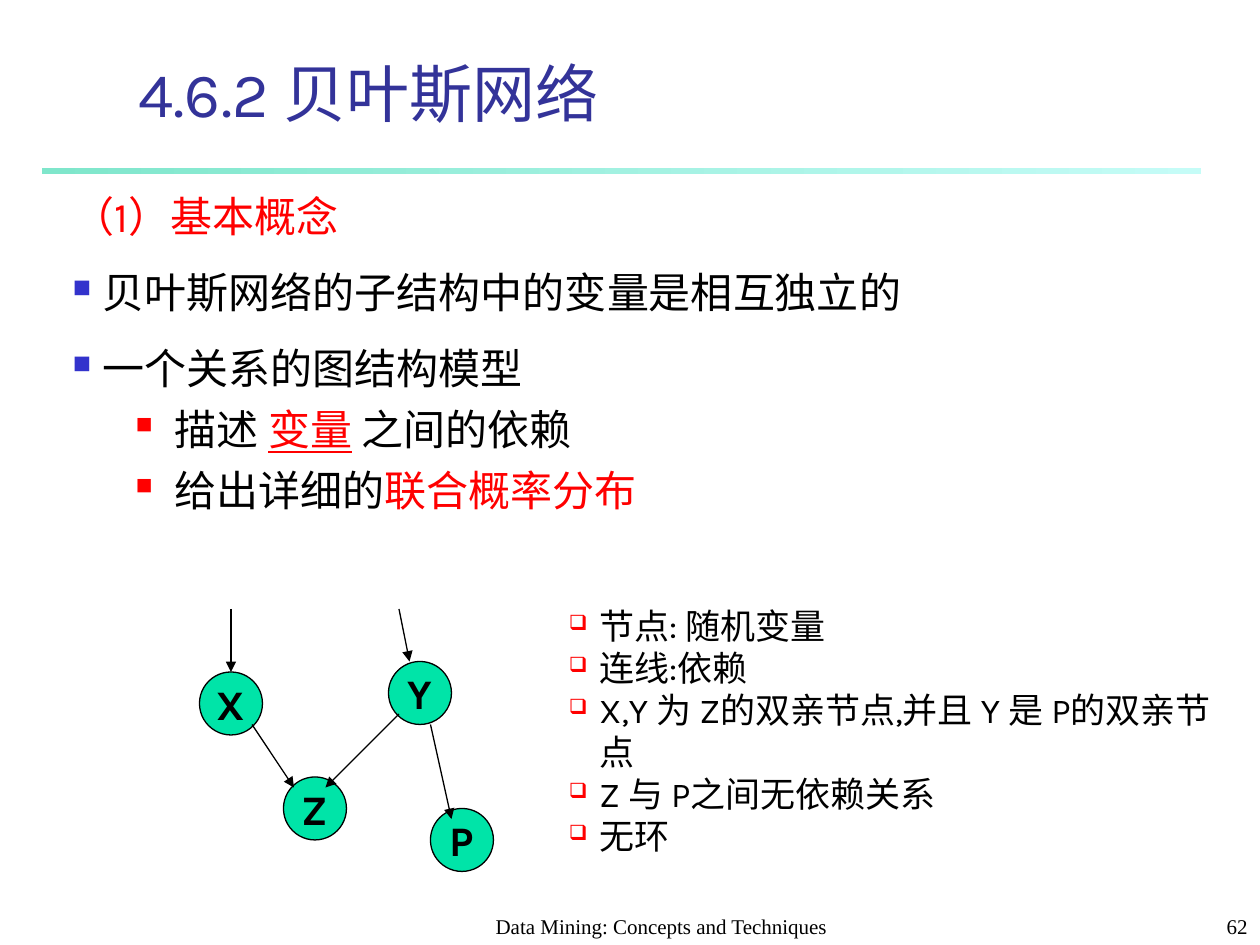
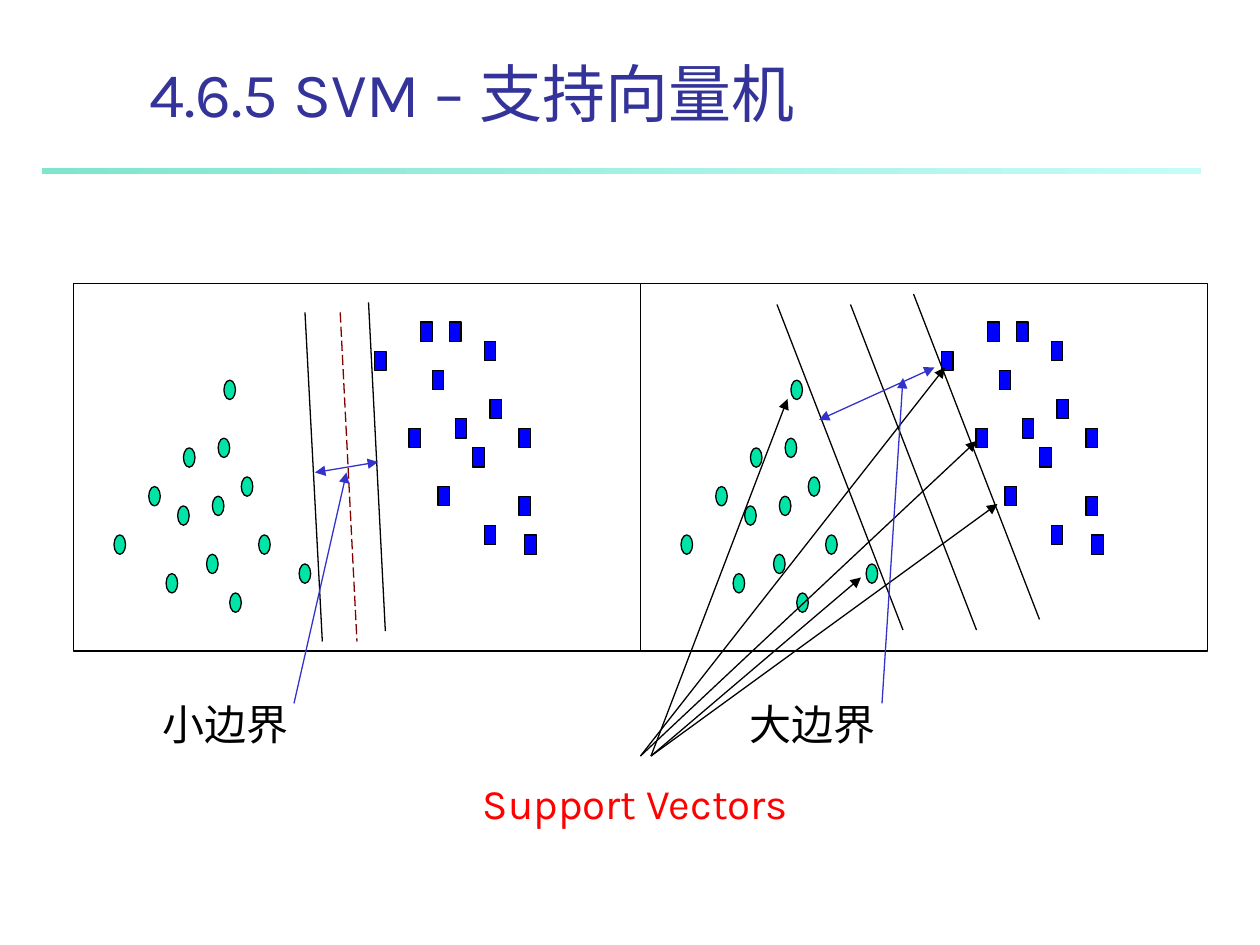
from pptx import Presentation
from pptx.dml.color import RGBColor as Rgb
from pptx.enum.dml import MSO_LINE as Dash
from pptx.enum.shapes import MSO_CONNECTOR as Conn, MSO_SHAPE as Kind
from pptx.enum.text import MSO_ANCHOR as Anchor, MSO_AUTO_SIZE as Fit, PP_ALIGN as Align
from pptx.oxml.ns import qn
from pptx.util import Inches, Pt
from lxml.etree import SubElement as Sub

# Grid: 120 columns by 90 rows on a 10 by 7.5 inch slide
COLS, ROWS = 120, 90
WIDE, HIGH = Inches(10), Inches(7.5)

# Colours
BLACK, RED, NAVY, BLUE = "000000", "FF0000", "333399", "3333CC"
GREEN, SQUARE, MAROON = "00E4A8", "0000FF", "800000"
BAND = ("7FE6CB", "C5FCF7")

# Bullet styles: mark, colour, size in percent, left margin, hang
MAIN = ("■", BLUE, 60, 0.24, 0.24)
MINOR = ("■", RED, 55, 0.81, 0.31)
BOX = ("❑", RED, 60, 0.24, 0.24)


def paint(text):
    return Rgb.from_string(text)


class Deck:
    font = "Karla"

    def __init__(self):
        self.prs = Presentation()
        self.prs.slide_width, self.prs.slide_height = WIDE, HIGH
        self.slide = None

    def x(self, col):
        return round(WIDE * col / COLS)

    def y(self, row):
        return round(HIGH * row / ROWS)

    def place(self, box):
        col, row, wide, high = box
        return self.x(col), self.y(row), self.x(wide), self.y(high)

    def style(self, run, size, color, bold=False, font=None):
        run.font.name = font or self.font
        run.font.size = Pt(size)
        run.font.bold = bold
        run.font.color.rgb = paint(color)

    def page(self, title, box):
        """Start a slide with its band and title."""
        self.slide = self.prs.slides.add_slide(self.prs.slide_layouts[5])
        band = self.shape(Kind.RECTANGLE, (4, 16, 110.4, 0.6))
        band.line.fill.background()
        band.fill.gradient()
        band.fill.gradient_angle = 0
        for stop, color, spot in zip(band.fill.gradient_stops, BAND, (0, 1)):
            stop.color.rgb, stop.position = paint(color), spot
        head = self.slide.shapes.title
        head.left, head.top, head.width, head.height = self.place(box)
        frame = head.text_frame
        frame.text = title
        frame.auto_size = Fit.NONE
        frame.vertical_anchor = Anchor.BOTTOM
        frame.paragraphs[0].alignment = Align.LEFT
        self.style(frame.paragraphs[0].runs[0], 36, NAVY)

    def shape(self, kind, box, fill=None):
        item = self.slide.shapes.add_shape(kind, *self.place(box))
        item.shadow.inherit = False
        if fill:
            item.fill.solid()
            item.fill.fore_color.rgb = paint(fill)
        else:
            item.fill.background()
        item.line.color.rgb = paint(BLACK)
        item.line.width = Pt(0.75)
        return item

    def node(self, name, col, row):
        item = self.shape(Kind.FLOWCHART_CONNECTOR, (col, row, 6, 6), GREEN)
        frame = item.text_frame
        frame.text = name
        frame.word_wrap = False
        frame.vertical_anchor = Anchor.MIDDLE
        frame.paragraphs[0].alignment = Align.CENTER
        self.style(frame.paragraphs[0].runs[0], 24, BLACK, bold=True)

    def line(self, ends, color=BLACK, heads=(), dash=None):
        a, b, c, d = ends
        item = self.slide.shapes.add_connector(
            Conn.STRAIGHT, self.x(a), self.y(b), self.x(c), self.y(d))
        item.line.color.rgb = paint(color)
        item.line.width = Pt(0.75)
        if dash:
            item.line.dash_style = dash
        props = item.element.spPr
        for head in heads:
            Sub(props.find(qn("a:ln")), qn(f"a:{head}"), type="triangle")
        Sub(props, qn("a:effectLst"))

    def arrow(self, ends, color=BLACK):
        self.line(ends, color, ["tailEnd"])

    def span(self, ends, color):
        self.line(ends, color, ["headEnd", "tailEnd"])

    def label(self, text, box, size=24, color=BLACK, font=None,
              align=Align.LEFT, anchor=Anchor.TOP, wrap=False):
        frame = self.slide.shapes.add_textbox(*self.place(box)).text_frame
        frame.text = text
        frame.word_wrap = wrap
        frame.vertical_anchor = anchor
        frame.paragraphs[0].alignment = align
        self.style(frame.paragraphs[0].runs[0], size, color, font=font)

    def foot(self, text, box, align):
        self.label(text, box, 12, font="Times New Roman", align=align,
                   anchor=Anchor.BOTTOM, wrap=True)

    def bullet(self, para, look):
        mark, color, size, left, hang = look
        props = para._p.get_or_add_pPr()
        props.set("marL", str(Inches(left)))
        props.set("indent", str(-Inches(hang)))
        Sub(Sub(props, qn("a:buClr")), qn("a:srgbClr"), val=color)
        Sub(props, qn("a:buSzPct"), val=str(size * 1000))
        Sub(props, qn("a:buChar"), char=mark)

    def items(self, rows, box, size, gap=0, loose=1.0):
        """Rows pair a bullet style with (text, colour) pieces."""
        frame = self.slide.shapes.add_textbox(*self.place(box)).text_frame
        frame.word_wrap = True
        for i, (look, parts) in enumerate(rows):
            para = frame.add_paragraph() if i else frame.paragraphs[0]
            if look:
                self.bullet(para, look)
            para.level = 1 if look is MINOR else 0
            para.line_spacing = 1.0 if look is MINOR else loose
            para.space_before = Pt(gap if i else 0)
            for text, color, *under in parts:
                run = para.add_run()
                run.text = text
                self.style(run, size, color)
                run.font.underline = bool(under)

    def panel(self, col, row):
        """Frame two point clouds, laid on a 98 by 38 grid."""
        wide, high = 54, 35
        dx, dy = wide / 98, high / 38
        for kind, fill, spots in ((Kind.OVAL, GREEN, DOTS), (Kind.RECTANGLE, SQUARE, TILES)):
            for i, j in spots:
                self.shape(kind, (col + i * dx, row + j * dy, 2 * dx, 2 * dy), fill)
        self.shape(Kind.RECTANGLE, (col, row, wide, high))


# Point clouds in panel steps
DOTS = [(16, 30), (18, 23), (7, 26), (13, 21), (23, 28), (19, 17), (24, 22),
        (25, 16), (29, 20), (32, 26), (27, 32), (39, 29), (26, 10)]
TILES = [(58, 15), (52, 7), (60, 4), (63, 21), (62, 9), (66, 14), (65, 4),
         (71, 6), (69, 17), (72, 12), (71, 25), (77, 15), (77, 22), (78, 26)]


def bayes(deck):
    deck.page("4.6.2 贝叶斯网络", (12, 5, 102.2, 8))
    deck.items([
        (None, [("（1）基本概念", RED)]),
        (MAIN, [("贝叶斯网络的子结构中的变量是相互独立的", BLACK)]),
        (MAIN, [("一个关系的图结构模型", BLACK)]),
        (MINOR, [("描述 ", BLACK), ("变量", RED, True), (" 之间的依赖", BLACK)]),
        (MINOR, [("给出详细的", BLACK), ("联合概率分布", RED)]),
    ], (5.75, 16.1, 108, 64), 24, gap=6, loose=1.3)

    # Network
    for name, col, row in (("X", 19, 64), ("Y", 37, 63), ("Z", 27, 74), ("P", 41, 77)):
        deck.node(name, col, row)
    for ends in ((24, 69, 28, 75), (38, 68, 31, 75), (41, 69, 43, 78),
                 (22, 58, 22, 64), (38, 58, 39, 63)):
        deck.arrow(ends)

    # Legend and footer
    notes = ("节点: 随机变量", "连线:依赖", "X,Y 为 Z的双亲节点,并且 Y 是 P的双亲节点",
             "Z 与 P之间无依赖关系", "无环")
    deck.items([(BOX, [(note, BLACK)]) for note in notes], (53, 57, 64.8, 25.2), 20)
    deck.foot("Data Mining: Concepts and Techniques", (44, 85, 38, 5), Align.CENTER)
    deck.foot("62", (95, 85, 25, 5), Align.RIGHT)


def margins(deck):
    deck.page("4.6.5 SVM – 支持向量机", (13, 5, 104, 8))
    left, right, top = 7, 61, 27
    deck.panel(left, top)
    deck.panel(right, top)

    # Borders of the small and the large margin
    deck.line((35.1, 28.8, 36.7, 60.1))
    deck.line((29.05, 29.75, 30.7, 61.1))
    deck.line((32.4, 29.75, 34, 61.1), MAROON, dash=Dash.LONG_DASH)
    for col, row in ((74, 29), (87, 28), (81, 29)):
        deck.line((col, row, col + 12, row + 31))

    # Support vectors
    deck.label("Support Vectors", (44.8, 73.5, 32.5, 6), color=RED)
    for col, tip in ((61, (90, 35)), (61, (93, 42)), (62, (95, 48)),
                     (62, (82, 55)), (62, (75, 38))):
        deck.arrow((col, 72, *tip))

    # Margin labels
    for text, col, gap, lead in (
            ("小边界", 14.3, (30, 45, 36, 44), (28, 67, 33, 45)),
            ("大边界", 70.2, (78, 40, 89, 35), (84, 67, 86, 36))):
        deck.label(text, (col, 65.9, 14.4, 6))
        deck.span(gap, BLUE)
        deck.arrow(lead, BLUE)


def main():
    deck = Deck()
    bayes(deck)
    margins(deck)
    deck.prs.save("out.pptx")


if __name__ == "__main__":
    main()
